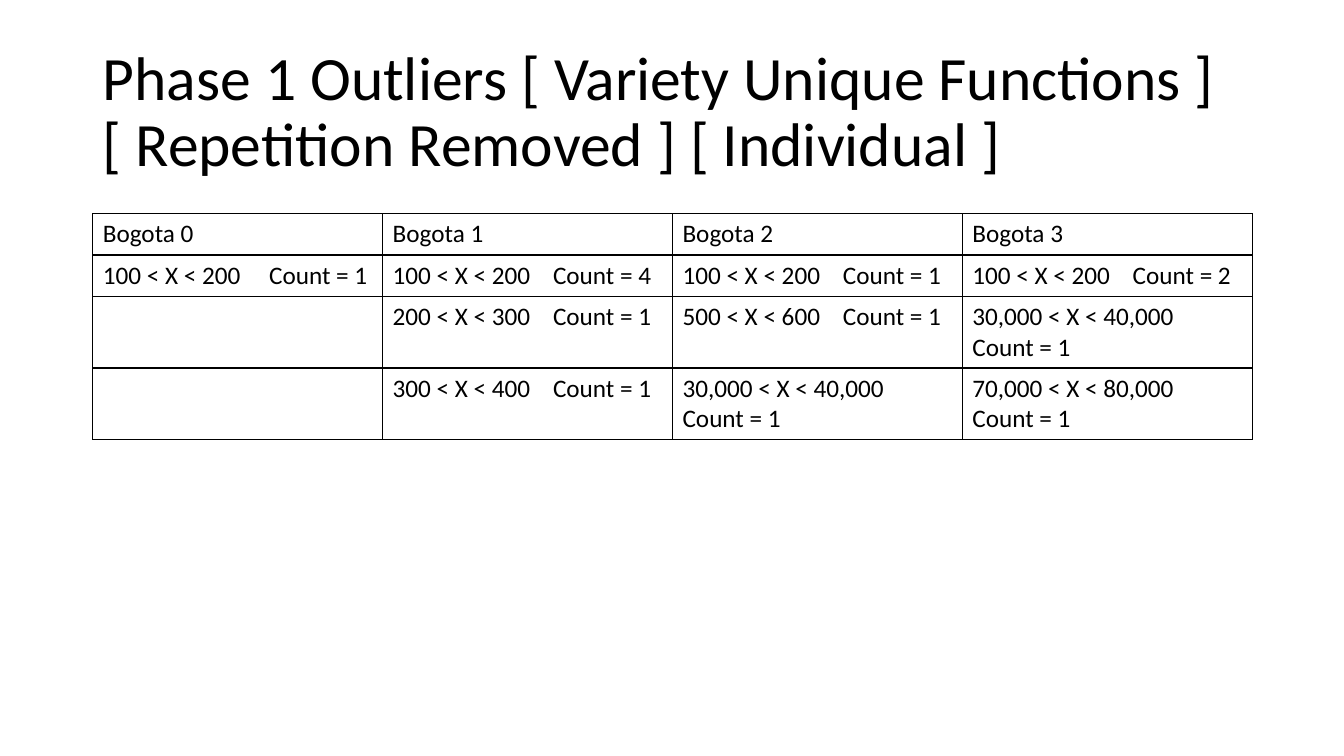
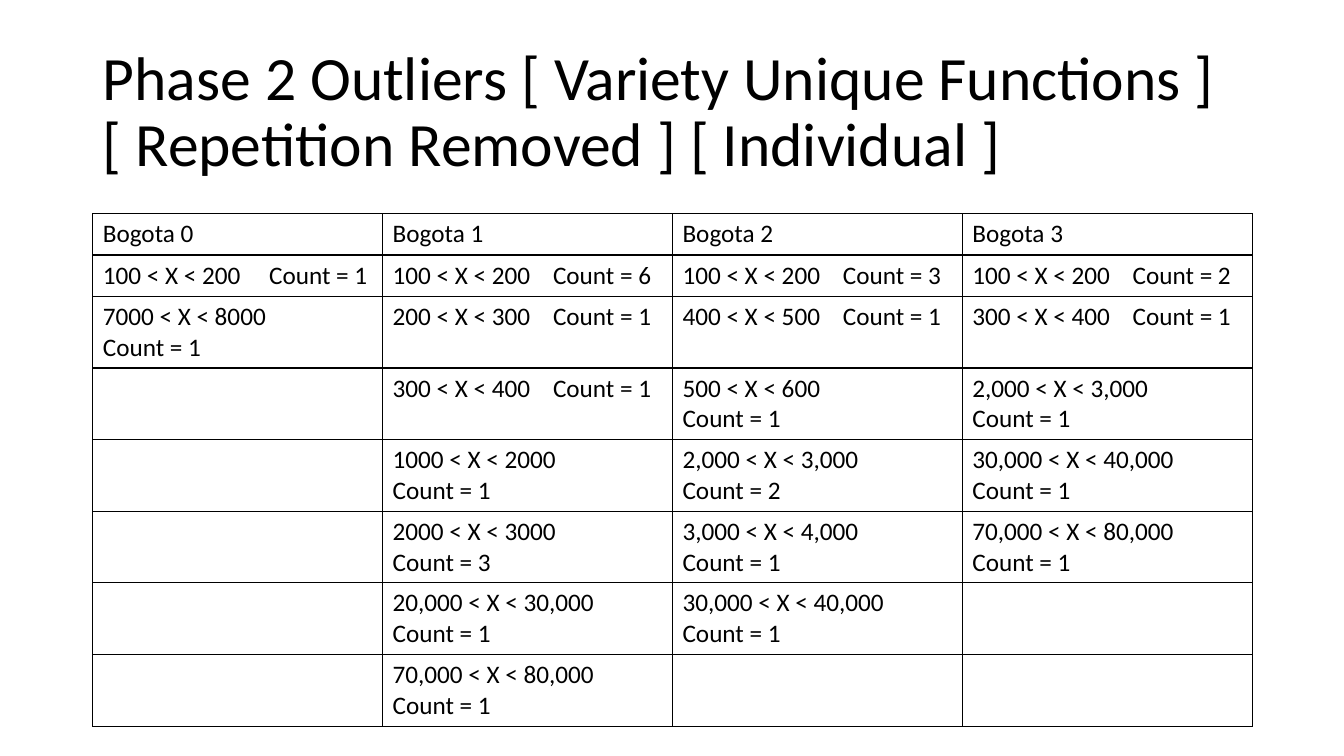
from dataclasses import dataclass
from itertools import zip_longest

from lxml.etree import SubElement
from pptx import Presentation
from pptx.dml.color import RGBColor
from pptx.enum.text import MSO_ANCHOR, MSO_AUTO_SIZE, PP_ALIGN
from pptx.oxml.ns import qn
from pptx.util import Inches, Pt


@dataclass(frozen=True)
class Theme:
    font: str = "Calibri"
    ink: str = "000000"
    title_size: int = 44
    table_size: int = 18
    border: int = 1


THEME = Theme()

# Content: one list per column; a tab keeps the count on the line of its range
TITLE = "Phase {} Outliers [ Variety Unique Functions ] [ Repetition Removed ] [ Individual ]"
PHASES = {
    1: {
        "Bogota 0": ["100 < X < 200\tCount = 1"],
        "Bogota 1": ["100 < X < 200\tCount = 4", "200 < X < 300\tCount = 1",
                     "300 < X < 400\tCount = 1"],
        "Bogota 2": ["100 < X < 200\tCount = 1", "500 < X < 600\tCount = 1",
                     "30,000 < X < 40,000\nCount = 1"],
        "Bogota 3": ["100 < X < 200\tCount = 2", "30,000 < X < 40,000\nCount = 1",
                     "70,000 < X < 80,000\nCount = 1"],
    },
    2: {
        "Bogota 0": ["100 < X < 200\tCount = 1", "7000 < X < 8000\nCount = 1"],
        "Bogota 1": ["100 < X < 200\tCount = 6", "200 < X < 300\tCount = 1",
                     "300 < X < 400\tCount = 1", "1000 < X < 2000\nCount = 1",
                     "2000 < X < 3000\nCount = 3", "20,000 < X < 30,000\nCount = 1",
                     "70,000 < X < 80,000\nCount = 1"],
        "Bogota 2": ["100 < X < 200\tCount = 3", "400 < X < 500\tCount = 1",
                     "500 < X < 600\nCount = 1", "2,000 < X < 3,000\nCount = 2",
                     "3,000 < X < 4,000\nCount = 1", "30,000 < X < 40,000\nCount = 1"],
        "Bogota 3": ["100 < X < 200\tCount = 2", "300 < X < 400\tCount = 1",
                     "2,000 < X < 3,000\nCount = 1", "30,000 < X < 40,000\nCount = 1",
                     "70,000 < X < 80,000\nCount = 1"],
    },
}

# Layout
SLIDE_WIDTH, SLIDE_HEIGHT = Inches(13.33), Inches(7.5)
MARGIN, CONTENT_WIDTH = Inches(0.92), Inches(11.5)
TITLE_TOP, TITLE_HEIGHT = Inches(0.4), Inches(1.45)
TABLE_TOP, ROW_HEIGHT = Inches(2.12), Inches(0.41)
FIRST_TAB, OTHER_TAB = Inches(1.65), Inches(1.59)


def write(frame, text, *, size, line_spacing=None, tab=None):
    """Fill a text frame, one paragraph per line."""
    for index, line in enumerate(text.split("\n")):
        para = frame.add_paragraph() if index else frame.paragraphs[0]
        para.alignment = PP_ALIGN.LEFT
        if line_spacing:
            para.line_spacing = line_spacing
        if "\t" in line:
            stops = SubElement(para._p.get_or_add_pPr(), qn("a:tabLst"))
            SubElement(stops, qn("a:tab"), pos=str(tab), algn="l")
        span = para.add_run()
        span.text = line
        span.font.name = THEME.font
        span.font.size = Pt(size)
        span.font.color.rgb = RGBColor.from_string(THEME.ink)


def outline(cell):
    """Draw all four borders of a cell and leave it unfilled."""
    properties = cell._tc.get_or_add_tcPr()
    for side in ("lnL", "lnR", "lnT", "lnB"):
        line = SubElement(properties, qn(f"a:{side}"), w=str(Pt(THEME.border)))
        fill = SubElement(line, qn("a:solidFill"))
        SubElement(fill, qn("a:srgbClr"), val=THEME.ink)
    cell.fill.background()


def add_outlier_table(slide, columns):
    rows = [tuple(columns), *zip_longest(*columns.values(), fillvalue="")]
    table = slide.shapes.add_table(len(rows), len(columns), MARGIN, TABLE_TOP,
                                   CONTENT_WIDTH, ROW_HEIGHT * len(rows)).table
    table.first_row = table.horz_banding = False
    for row_index, row in enumerate(rows):
        for column_index, text in enumerate(row):
            cell = table.cell(row_index, column_index)
            outline(cell)
            if text:
                write(cell.text_frame, text, size=THEME.table_size,
                      tab=OTHER_TAB if column_index else FIRST_TAB)


def main():
    deck = Presentation()
    deck.slide_width, deck.slide_height = SLIDE_WIDTH, SLIDE_HEIGHT

    # Shared title position, set on the layout
    layout = deck.slide_layouts.get_by_name("Title Only")
    heading = layout.placeholders[0]
    heading.left, heading.top = MARGIN, TITLE_TOP
    heading.width, heading.height = CONTENT_WIDTH, TITLE_HEIGHT

    for phase, columns in PHASES.items():
        slide = deck.slides.add_slide(layout)
        frame = slide.shapes.title.text_frame
        frame.vertical_anchor = MSO_ANCHOR.MIDDLE
        frame.auto_size = MSO_AUTO_SIZE.NONE
        write(frame, TITLE.format(phase), size=THEME.title_size, line_spacing=0.9)
        add_outlier_table(slide, columns)

    deck.save("out.pptx")


if __name__ == "__main__":
    main()
